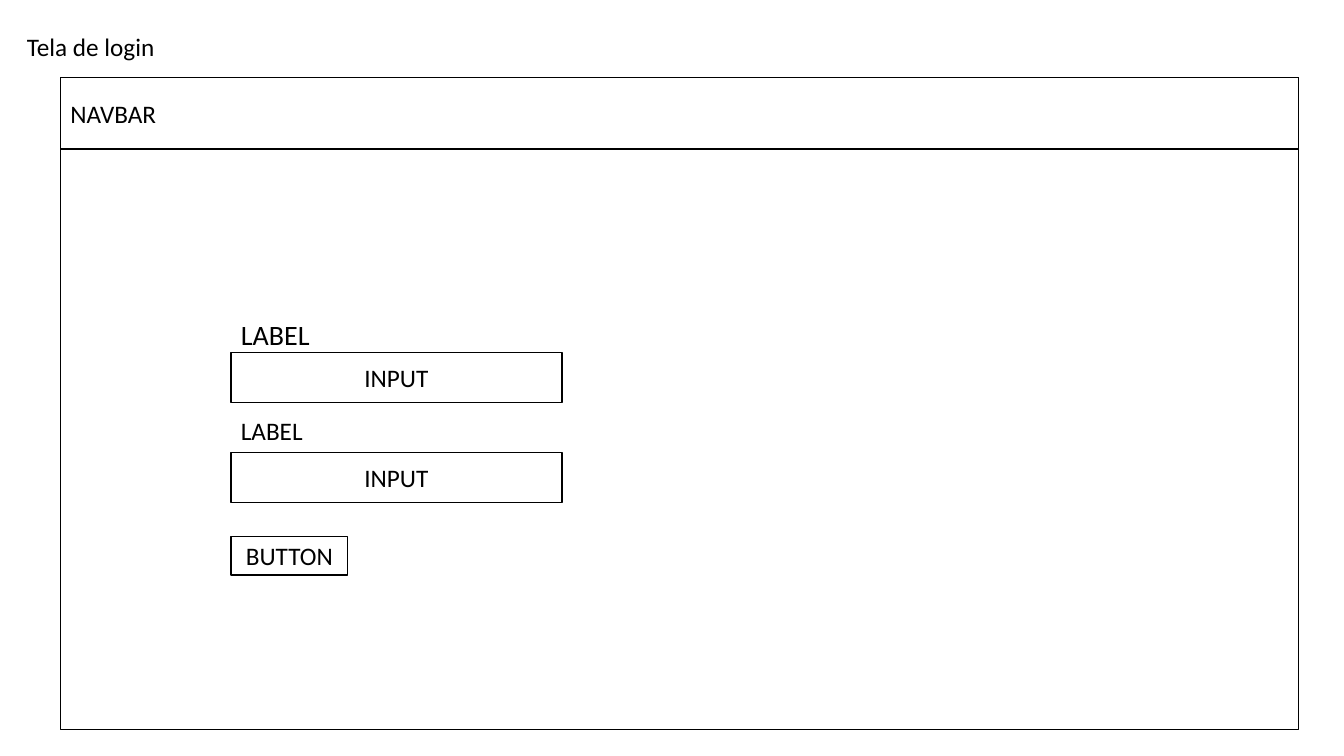
from pptx import Presentation
from pptx.dml.color import RGBColor
from pptx.enum.shapes import MSO_SHAPE as Shape
from pptx.enum.text import MSO_ANCHOR as Anchor, MSO_AUTO_SIZE as AutoSize, PP_ALIGN as Align
from pptx.util import Inches, Pt

COLORS = {"ink": "000000", "paper": "FFFFFF"}
COLUMNS, ROWS = 160, 90
TITLE_ONLY = 5


def write(shape, text, size=18, align=Align.LEFT, anchor=Anchor.TOP,
          wrap=True, fit=AutoSize.NONE, font="Calibri", color="ink"):
    frame = shape.text_frame
    frame.text = text
    frame.word_wrap = wrap
    frame.auto_size = fit
    frame.vertical_anchor = anchor
    paragraph = frame.paragraphs[0]
    paragraph.alignment = align
    style = paragraph.runs[0].font
    style.name, style.size = font, Pt(size)
    style.color.rgb = RGBColor.from_string(COLORS[color])


class Wireframe:
    """Draws page elements placed by column and row of the slide grid."""

    def __init__(self, deck):
        self.slide = deck.slides.add_slide(deck.slide_layouts[TITLE_ONLY])
        self.column = deck.slide_width / COLUMNS
        self.row = deck.slide_height / ROWS
        self.border = Pt(1)

    def area(self, left, top, width, height):
        return (round(left * self.column), round(top * self.row),
                round(width * self.column), round(height * self.row))

    def title(self, text, *cells):
        heading = self.slide.shapes.title
        heading.left, heading.top, heading.width, heading.height = self.area(*cells)
        write(heading, text, wrap=False, fit=AutoSize.SHAPE_TO_FIT_TEXT)

    def box(self, *cells, text=None, align=Align.CENTER):
        panel = self.slide.shapes.add_shape(Shape.RECTANGLE, *self.area(*cells))
        panel.shadow.inherit = False
        panel.fill.solid()
        panel.fill.fore_color.rgb = RGBColor.from_string(COLORS["paper"])
        panel.line.color.rgb = RGBColor.from_string(COLORS["ink"])
        panel.line.width = self.border
        if text:
            write(panel, text, align=align, anchor=Anchor.MIDDLE)

    def label(self, text, *cells, size=18):
        caption = self.slide.shapes.add_textbox(*self.area(*cells))
        write(caption, text, size=size, fit=AutoSize.SHAPE_TO_FIT_TEXT)


def main():
    deck = Presentation()
    deck.slide_width, deck.slide_height = Inches(13.33), Inches(7.5)
    login = Wireframe(deck)
    login.title("Tela de login", 2, 3.1, 17.8, 4.8)

    page_left, page_top, page_width = 7.2, 9.25, 147.4
    login.box(page_left, page_top, page_width, 77.6)
    login.box(page_left, page_top, page_width, 8.5, text="NAVBAR", align=Align.LEFT)

    form_left = 27.5
    for input_top in (42, 53.9):
        login.box(form_left, input_top, 39.4, 5.9, text="INPUT")
    login.box(form_left, 63.85, 13.9, 4.6, text="BUTTON")
    login.label("LABEL", form_left, 37.2, 16, 5.3, size=20)
    login.label("LABEL", form_left, 48.85, 11.2, 4.8)

    deck.save("out.pptx")


if __name__ == "__main__":
    main()
